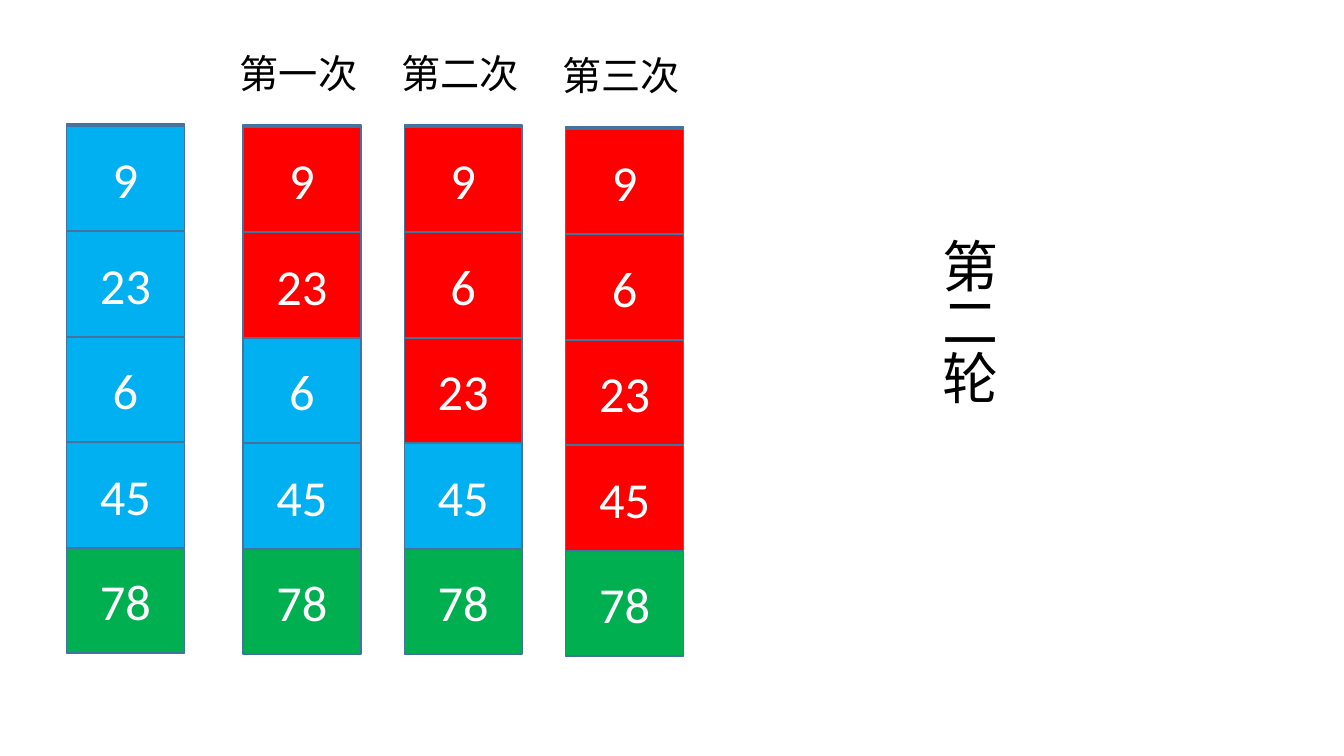
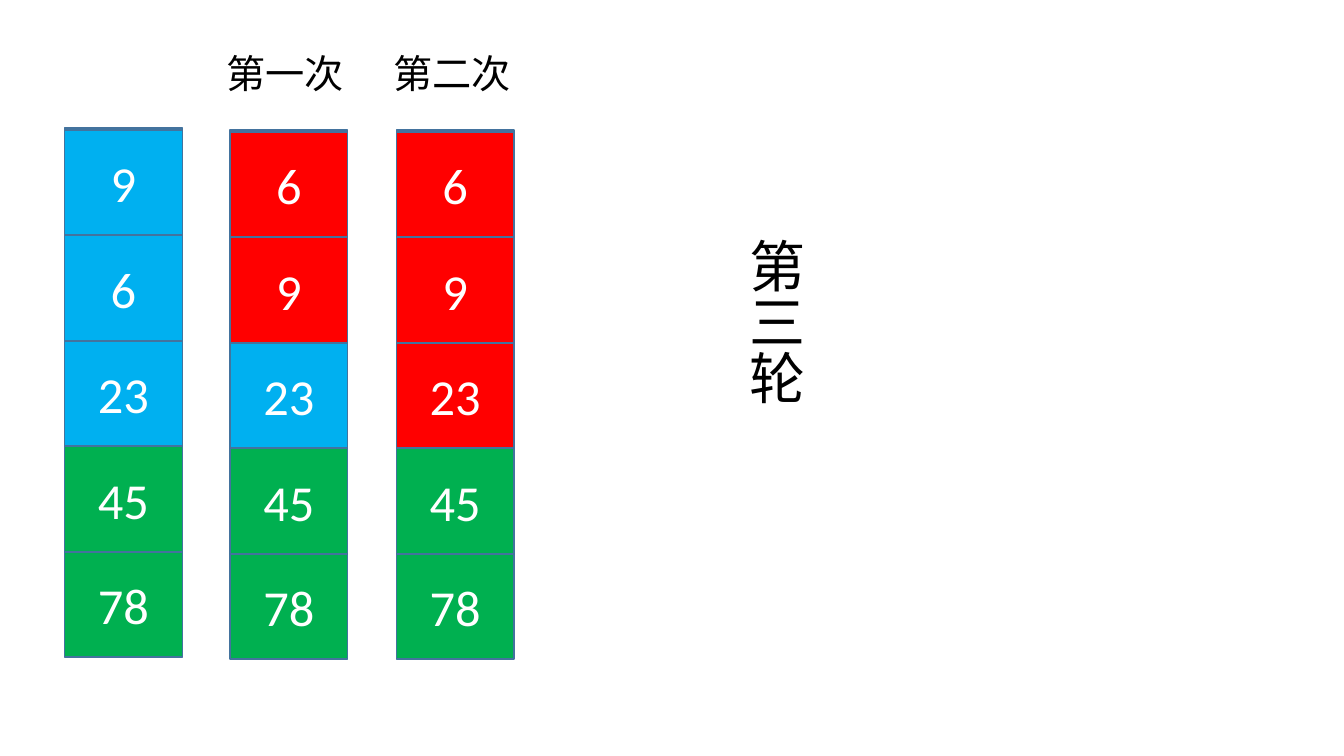
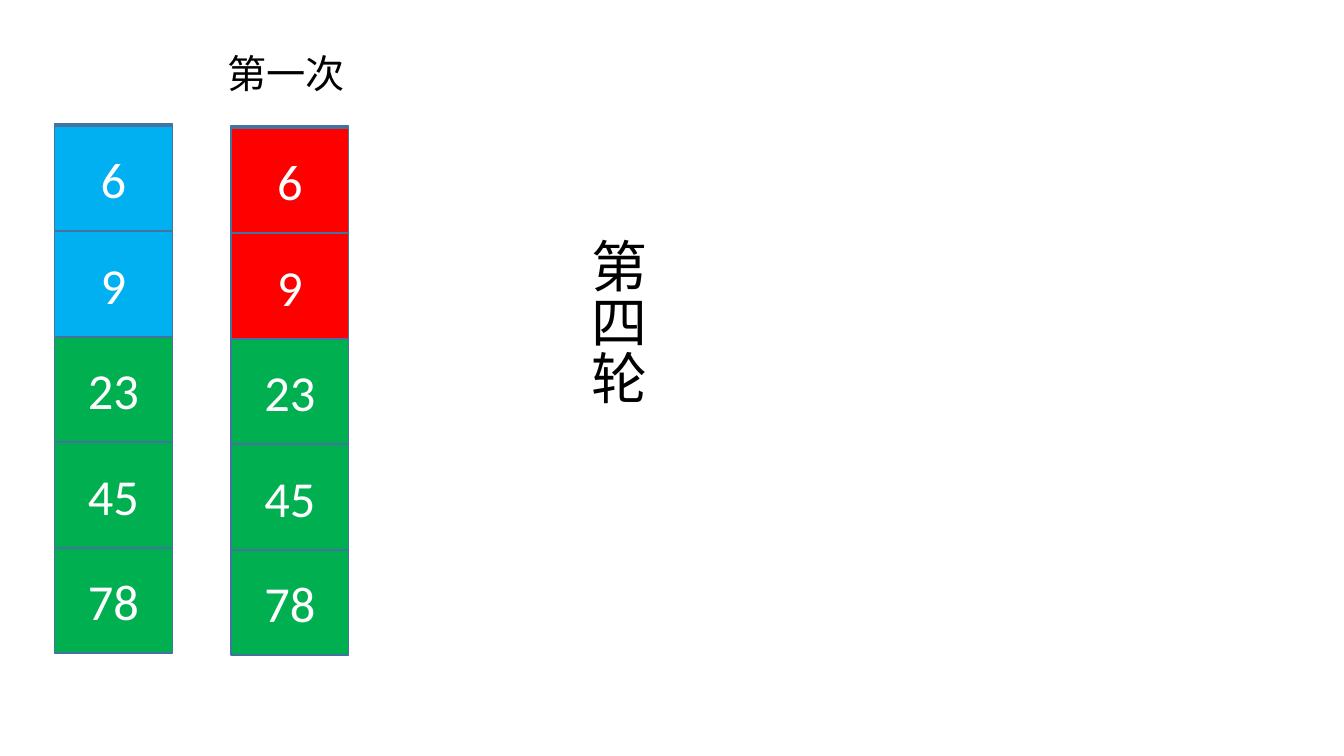
from pptx import Presentation
from pptx.dml.color import RGBColor
from pptx.enum.shapes import MSO_SHAPE
from pptx.enum.text import MSO_ANCHOR, MSO_AUTO_SIZE, PP_ALIGN
from pptx.util import Inches, Pt

RECT = MSO_SHAPE.RECTANGLE
MIDDLE = MSO_ANCHOR.MIDDLE
CENTER = PP_ALIGN.CENTER
GROW = MSO_AUTO_SIZE.SHAPE_TO_FIT_TEXT

FILLS = {"open": "00B0F0", "seen": "FF0000", "done": "00B050"}


def color(code):
    return RGBColor.from_string(code)


class Deck:
    font = "Calibri"
    back = "5B9BD5"
    edge = "43739E"
    ink = "000000"
    white = "FFFFFF"
    width = 1.17
    height = 5.23
    cell = 1.04
    pitch = 4.19 / 4

    def __init__(self):
        self.show = Presentation()
        self.show.slide_width = Inches(13.33)
        self.show.slide_height = Inches(7.5)
        self.slide = None

    def page(self):
        self.slide = self.show.slides.add_slide(self.show.slide_layouts[6])

    def style(self, frame, text, size, ink):
        para = frame.paragraphs[0]
        para.text = text
        para.font.name = self.font
        para.font.size = Pt(size)
        para.font.color.rgb = color(ink)
        return para

    def box(self, left, top, height, fill, text=None):
        shape = self.slide.shapes.add_shape(
            RECT, Inches(left), Inches(top), Inches(self.width), Inches(height))
        shape.shadow.inherit = False
        shape.fill.solid()
        shape.fill.fore_color.rgb = color(fill)
        shape.line.color.rgb = color(self.edge)
        shape.line.width = Pt(1)
        if text:
            shape.text_frame.vertical_anchor = MIDDLE
            self.style(shape.text_frame, text, 36, self.white).alignment = CENTER

    def label(self, left, top, width, height, text, size):
        shape = self.slide.shapes.add_textbox(
            Inches(left), Inches(top), Inches(width), Inches(height))
        shape.text_frame.word_wrap = True
        shape.text_frame.auto_size = GROW
        self.style(shape.text_frame, text, size, self.ink)
        return shape

    def stack(self, left, top, values, seen, done):
        self.box(left, top, self.height, self.back)
        for i, value in enumerate(values):
            if i >= len(values) - done:
                state = "done"
            else:
                state = "seen" if i < seen else "open"
            self.box(left, top + 0.02 + i * self.pitch, self.cell,
                     FILLS[state], str(value))

    def step(self, left, top, text):
        self.label(left - 0.13, top, 1.43, 0.57, text, 28)

    def round(self, left, text):
        shape = self.label(left, 2.27, 0.88, 5.23, text, 40)
        shape.element.txBody.bodyPr.set("vert", "eaVert")

    def save(self):
        self.show.save("out.pptx")


STEPS = ["第一次", "第二次", "第三次"]
ROUNDS = [
    ("第二轮", 9.11, 1, [
        (0.66, 1.23, [9, 23, 6, 45, 78]),
        (2.41, 1.24, [9, 23, 6, 45, 78]),
        (4.01, 1.24, [9, 6, 23, 45, 78]),
        (5.61, 1.26, [9, 6, 23, 45, 78]),
    ]),
    ("第三轮", 7.19, 2, [
        (0.64, 1.27, [9, 6, 23, 45, 78]),
        (2.28, 1.29, [6, 9, 23, 45, 78]),
        (3.93, 1.29, [6, 9, 23, 45, 78]),
    ]),
    ("第四轮", 5.63, 3, [
        (0.54, 1.23, [6, 9, 23, 45, 78]),
        (2.29, 1.25, [6, 9, 23, 45, 78]),
    ]),
]

deck = Deck()
for title, side, done, stacks in ROUNDS:
    deck.page()
    for turn, (left, top, values) in enumerate(stacks):
        deck.stack(left, top, values, turn + 1 if turn else 0, done)
        if turn:
            deck.step(left, 0.46 if turn == 3 else 0.44, STEPS[turn - 1])
    deck.round(side, title)
deck.save()
